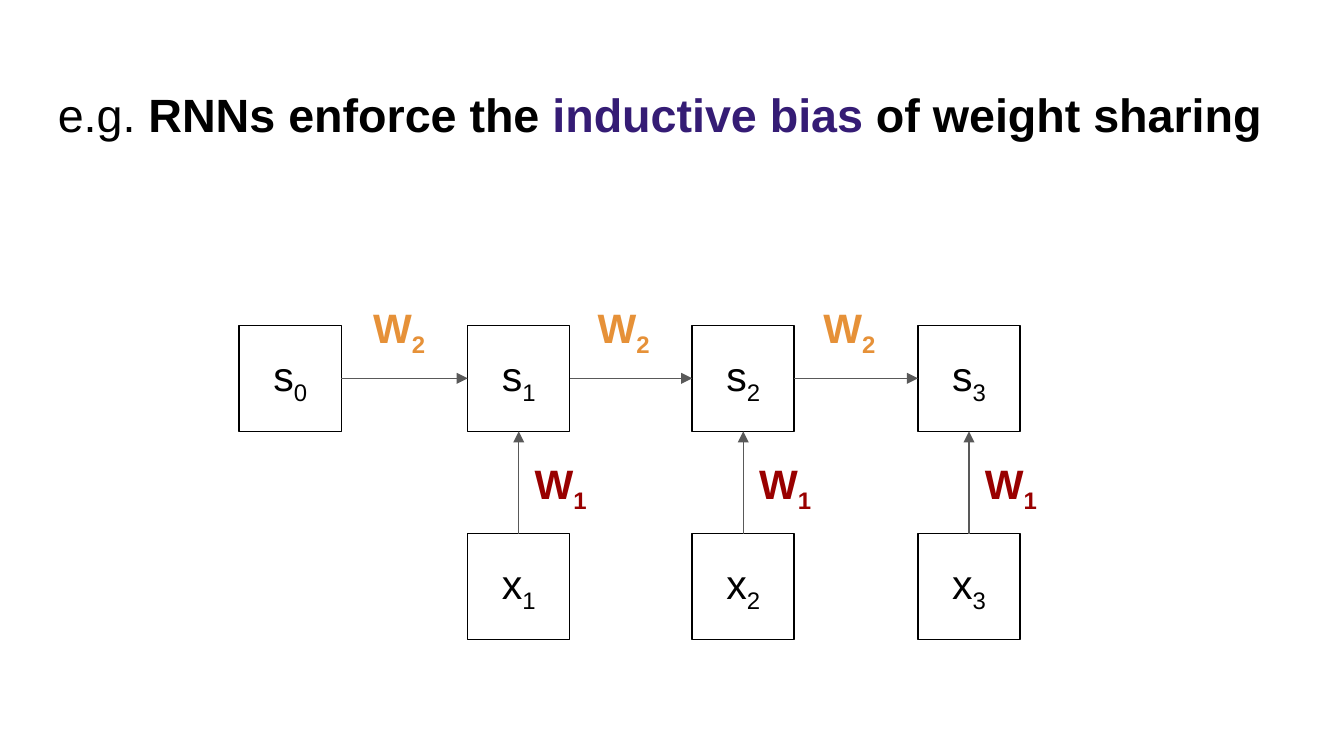
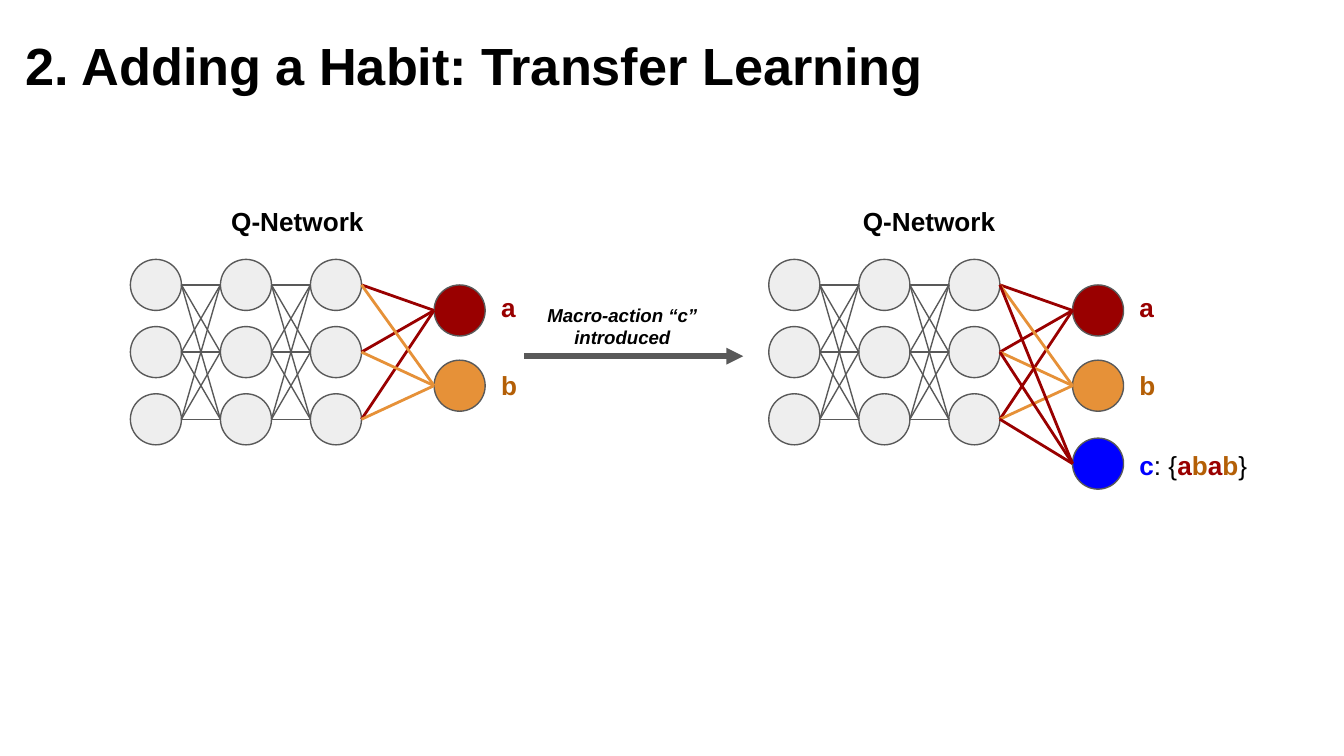
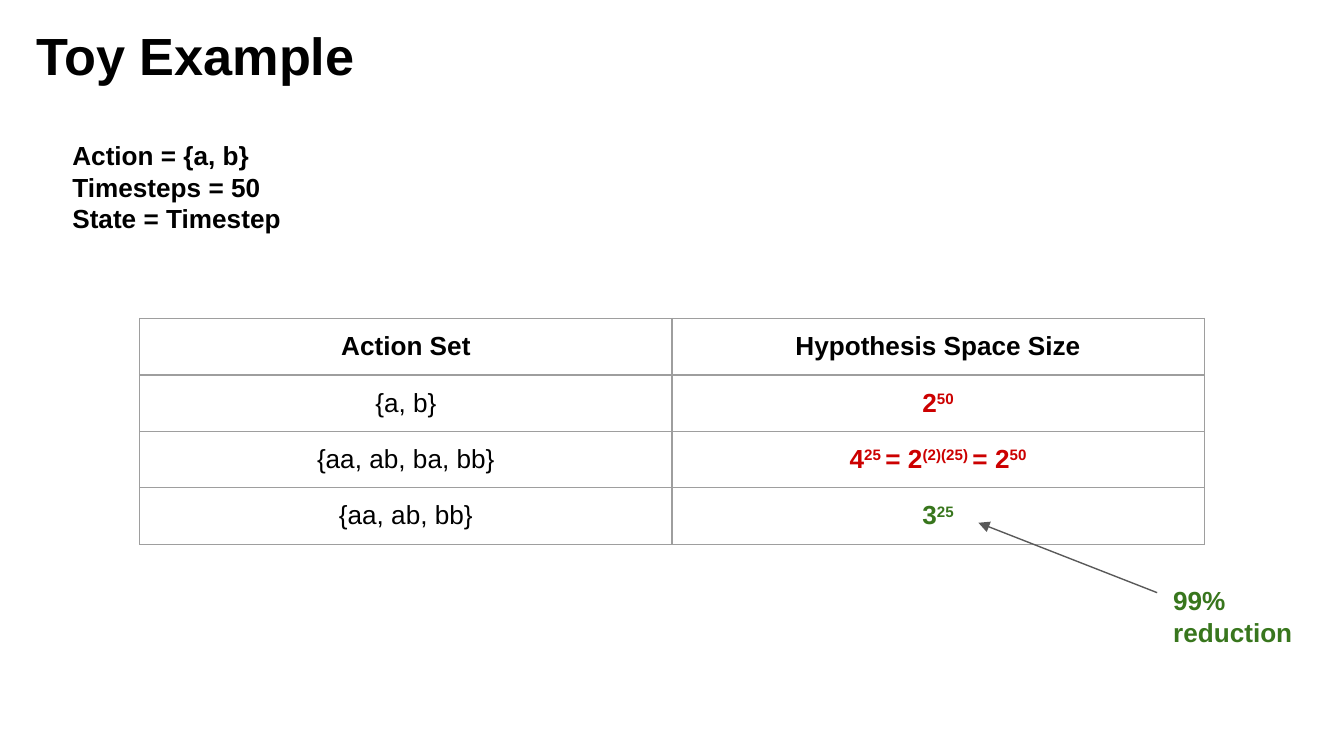
from dataclasses import dataclass
from itertools import product
from typing import NamedTuple

from lxml.etree import SubElement
from pptx import Presentation
from pptx.dml.color import RGBColor
from pptx.enum.shapes import MSO_CONNECTOR, MSO_SHAPE
from pptx.enum.text import MSO_ANCHOR, MSO_AUTO_SIZE, PP_ALIGN
from pptx.oxml.ns import qn
from pptx.shapes.autoshape import Shape
from pptx.shapes.connector import Connector
from pptx.slide import Slide
from pptx.table import _Cell
from pptx.text.text import TextFrame, _Paragraph
from pptx.util import Inches, Pt

# Shared look
WIDE = 10
HIGH = WIDE * 9 / 16
FONT = "Arial"
BLACK = RGBColor(0x00, 0x00, 0x00)
GRAY = RGBColor(0x59, 0x59, 0x59)
RULE = RGBColor(0x9E, 0x9E, 0x9E)
PALE = RGBColor(0xEE, 0xEE, 0xEE)
MAROON = RGBColor(0x99, 0x00, 0x00)
RED = RGBColor(0xCC, 0x00, 0x00)
ORANGE = RGBColor(0xE6, 0x91, 0x38)
BROWN = RGBColor(0xB4, 0x5F, 0x06)
BLUE = RGBColor(0x00, 0x00, 0xFF)
PURPLE = RGBColor(0x35, 0x1C, 0x75)
GREEN = RGBColor(0x38, 0x76, 0x1D)
THIN = 0.75
PAD = Inches(0.1)
LEFT, MID = PP_ALIGN.LEFT, PP_ALIGN.CENTER


class Run(NamedTuple):
    text: str
    ink: RGBColor = BLACK
    bold: bool = True
    base: int = 0
    slant: bool = False


class Area(NamedTuple):
    left: float
    top: float
    width: float
    height: float


class Spot(NamedTuple):
    x: float
    y: float


Line = list[Run]


# Text
def add_runs(para: _Paragraph, runs: Line, size: float, align: PP_ALIGN) -> None:
    para.alignment = align
    for item in runs:
        run = para.add_run()
        run.text = item.text
        font = run.font
        font.name, font.size = FONT, Pt(size)
        font.bold, font.italic = item.bold, item.slant
        font.color.rgb = item.ink
        if item.base:
            run._r.get_or_add_rPr().set("baseline", str(item.base * 1000))


def fill_text(frame: TextFrame, lines: list[Line], size: float,
              align: PP_ALIGN = LEFT, anchor: MSO_ANCHOR = MSO_ANCHOR.TOP) -> None:
    frame.word_wrap = True
    frame.auto_size = MSO_AUTO_SIZE.NONE
    frame.vertical_anchor = anchor
    frame.margin_left = frame.margin_right = PAD
    frame.margin_top = frame.margin_bottom = PAD
    for i, runs in enumerate(lines):
        para = frame.add_paragraph() if i else frame.paragraphs[0]
        add_runs(para, runs, size, align)


def add_text(slide: Slide, area: Area, lines: list[Line], size: float = 14,
             align: PP_ALIGN = LEFT) -> None:
    box = slide.shapes.add_textbox(*map(Inches, area))
    fill_text(box.text_frame, lines, size, align)


def add_slide(deck: Presentation, area: Area, title: Line, size: float = 28) -> Slide:
    slide = deck.slides.add_slide(deck.slide_layouts[5])
    head = slide.shapes.title
    head.left, head.top, head.width, head.height = map(Inches, area)
    fill_text(head.text_frame, [title], size)
    return slide


# Shapes and lines
def add_form(slide: Slide, kind: MSO_SHAPE, area: Area,
             fill: RGBColor | None, edge: RGBColor) -> Shape:
    form = slide.shapes.add_shape(kind, *map(Inches, area))
    form.shadow.inherit = False
    if fill is None:
        form.fill.background()
    else:
        form.fill.solid()
        form.fill.fore_color.rgb = fill
    form.line.color.rgb = edge
    form.line.width = Pt(THIN)
    return form


def add_line(slide: Slide, start: Spot, end: Spot, ink: RGBColor = GRAY,
             weight: float = THIN, arrow: bool = False) -> Connector:
    line = slide.shapes.add_connector(
        MSO_CONNECTOR.STRAIGHT, *map(Inches, (*start, *end)))
    line.line.color.rgb = ink
    line.line.width = Pt(weight)
    if arrow:
        SubElement(line.line._get_or_add_ln(), qn("a:tailEnd"), type="triangle")
    SubElement(line._element.spPr, qn("a:effectLst"))
    return line


def join(slide: Slide, first: Shape, exit: int, last: Shape, entry: int) -> None:
    line = add_line(slide, Spot(0, 0), Spot(0, 0), arrow=True)
    line.begin_connect(first, exit)
    line.end_connect(last, entry)


# Slide 1: recurrent network
COLS = (1.78, 3.48, 5.15, 6.83)
STATE_Y, INPUT_Y = 2.42, 3.97


def indexed(sign: str, index: int, ink: RGBColor = BLACK, bold: bool = False) -> Line:
    return [Run(sign, ink, bold), Run(str(index), ink, bold, -25)]


def add_unit(slide: Slide, sign: str, step: int, top: float) -> Shape:
    unit = add_form(slide, MSO_SHAPE.RECTANGLE,
                    Area(COLS[step], top, 0.76, 0.79), None, BLACK)
    fill_text(unit.text_frame, [indexed(sign, step)], 22, MID, MSO_ANCHOR.MIDDLE)
    return unit


def draw_rnn(deck: Presentation) -> None:
    slide = add_slide(deck, Area(0.33, 0.54, 9.23, 1.72), [
        Run("e.g.", bold=False), Run(" RNNs enforce the "),
        Run("inductive bias", PURPLE), Run(" of weight sharing")], 25)
    prior = add_unit(slide, "s", 0, STATE_Y)
    for step in range(1, len(COLS)):
        state = add_unit(slide, "s", step, STATE_Y)
        feed = add_unit(slide, "x", step, INPUT_Y)
        join(slide, prior, 3, state, 1)
        join(slide, feed, 0, state, 2)
        left = COLS[step]
        add_text(slide, Area(left + 0.4, 3.31, 0.93, 0.36),
                 [indexed("W", 1, MAROON, True)], 22)
        add_text(slide, Area(left - 0.89, 2.15, 0.76, 0.36),
                 [indexed("W", 2, ORANGE, True)], 22, MID)
        prior = state


# Slide 2: networks before and after the habit
NODE = 0.38
LAYER_GAP, ROW_GAP, ROW_Y = 0.67, 0.5, 1.93


@dataclass(frozen=True)
class Out:
    top: float
    fill: RGBColor
    edge: RGBColor
    label: Line
    label_y: float
    width: float = 0.54


@dataclass(frozen=True)
class Net:
    left: float
    head_x: float
    outs: tuple[Out, ...]


OUT_A = Out(2.12, MAROON, MAROON, [Run("a", MAROON)], 2.07)
OUT_B = Out(2.68, ORANGE, ORANGE, [Run("b", BROWN)], 2.65)
OUT_C = Out(3.26, BLUE, MAROON, [
    Run("c", BLUE), Run(": {", bold=False), Run("a", MAROON), Run("b", BROWN),
    Run("a", MAROON), Run("b", BROWN), Run("}", bold=False)], 3.24, 1.33)
NETS = (Net(0.97, 1.13, (OUT_A, OUT_B)), Net(5.72, 5.83, (OUT_A, OUT_B, OUT_C)))


def add_node(slide: Slide, left: float, top: float, fill: RGBColor) -> Spot:
    """Draw a node and return the middle of its left side."""
    add_form(slide, MSO_SHAPE.FLOWCHART_CONNECTOR,
             Area(left, top, NODE, NODE), fill, GRAY)
    return Spot(left, top + NODE / 2)


def right_of(spot: Spot) -> Spot:
    return Spot(spot.x + NODE, spot.y)


def draw_net(slide: Slide, net: Net) -> None:
    add_text(slide, Area(net.head_x, 1.43, 2.22, 0.38),
             [[Run("Q-Network ")]], align=MID)
    layers = [[add_node(slide, net.left + LAYER_GAP * col, ROW_Y + ROW_GAP * row, PALE)
               for row in range(3)] for col in range(3)]
    for near, far in zip(layers, layers[1:]):
        for start, end in product(near, far):
            add_line(slide, right_of(start), end)
    for out in net.outs:
        end = add_node(slide, net.left + 2.26, out.top, out.fill)
        for start in layers[-1]:
            add_line(slide, right_of(start), end, out.edge, 1.5)
        add_text(slide, Area(net.left + 2.66, out.label_y, out.width, 0.31), [out.label])


def draw_habit(deck: Presentation) -> None:
    slide = add_slide(deck, Area(0.09, 0.15, 9.32, 0.63),
                      [Run("2. Adding a Habit: Transfer Learning")])
    for net in NETS:
        draw_net(slide, net)
    add_line(slide, Spot(3.9, 2.65), Spot(5.53, 2.65), weight=3, arrow=True)
    add_text(slide, Area(3.87, 2.16, 1.52, 0.38),
             [[Run("Macro-action “c” introduced", slant=True)]], 10, MID)


# Slide 3: table of hypothesis spaces
def power(root: str, index: str, ink: RGBColor) -> Line:
    return [Run(root, ink), Run(index, ink, base=30)]


ROWS: list[tuple[Line, Line]] = [
    ([Run("Action Set")], [Run("Hypothesis Space Size")]),
    ([Run("{a, b}", bold=False)], power("2", "50", RED)),
    ([Run("{aa, ab, ba, bb}", bold=False)],
     power("4", "25 ", RED) + power("= 2", "(2)(25) ", RED) + power("= 2", "50", RED)),
    ([Run("{aa, ab, bb}", bold=False)], power("3", "25", GREEN)),
]


def set_cell(cell: _Cell, runs: Line) -> None:
    cell.margin_left = cell.margin_right = PAD
    cell.margin_top = cell.margin_bottom = PAD
    add_runs(cell.text_frame.paragraphs[0], runs, 14, MID)
    props = cell._tc.get_or_add_tcPr()
    for side in ("lnL", "lnR", "lnT", "lnB"):
        edge = SubElement(props, qn(f"a:{side}"), w=str(Pt(THIN)))
        paint = SubElement(edge, qn("a:solidFill"))
        SubElement(paint, qn("a:srgbClr"), val=str(RULE))
    cell.fill.background()


def draw_toy(deck: Presentation) -> None:
    slide = add_slide(deck, Area(0.17, 0.07, 9.32, 0.63), [Run("Toy Example")])
    add_text(slide, Area(0.44, 0.94, 9.14, 0.96), [
        [Run("Action = {a, b}")], [Run("Timesteps = 50")], [Run("State = Timestep")]])
    area = Area(1.04, 2.37, 2 * 3.96, len(ROWS) * 0.42)
    table = slide.shapes.add_table(len(ROWS), 2, *map(Inches, area)).table
    table.first_row = table.horz_banding = False
    for row, pair in enumerate(ROWS):
        for col, runs in enumerate(pair):
            set_cell(table.cell(row, col), runs)
    add_line(slide, Spot(8.61, 4.41), Spot(7.28, 3.89), arrow=True)
    add_text(slide, Area(8.63, 4.25, 1.22, 0.38), [[Run("99% reduction", GREEN)]])


def main() -> None:
    deck = Presentation()
    deck.slide_width, deck.slide_height = Inches(WIDE), Inches(HIGH)
    for draw in (draw_rnn, draw_habit, draw_toy):
        draw(deck)
    deck.save("out.pptx")


if __name__ == "__main__":
    main()
